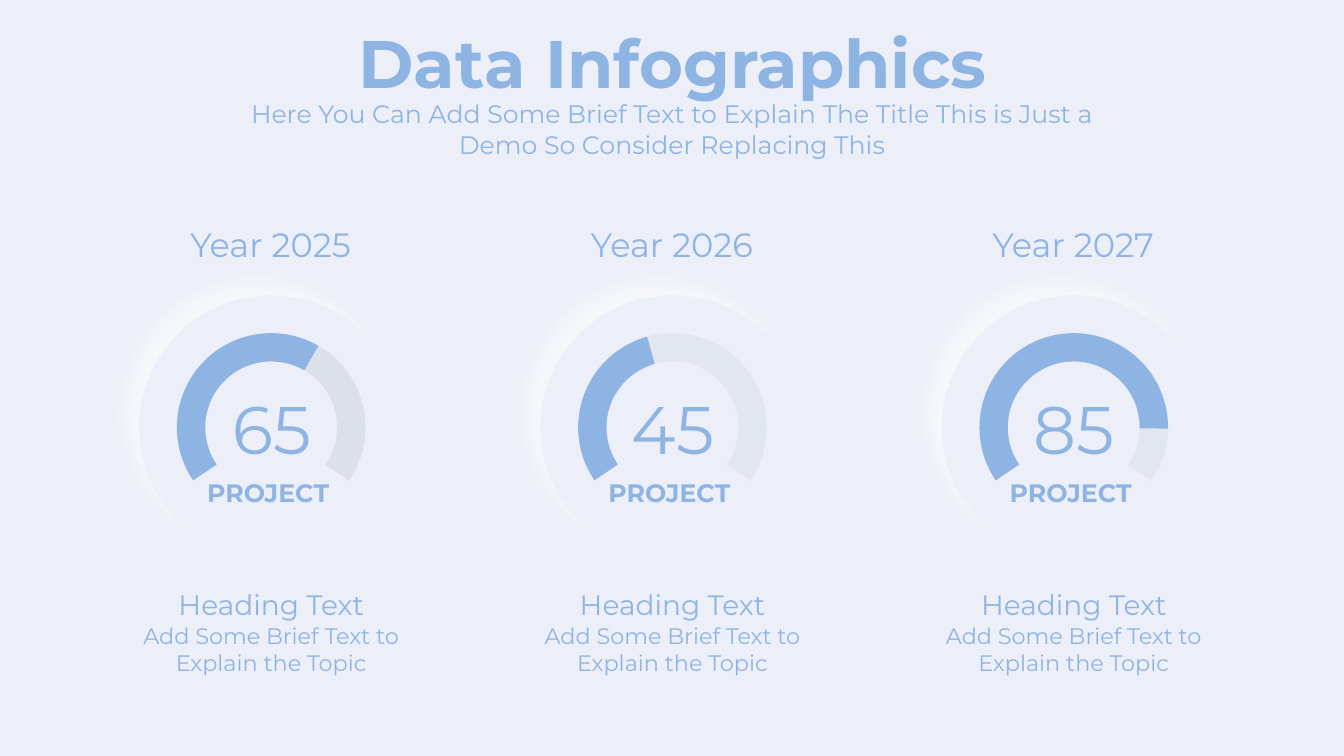
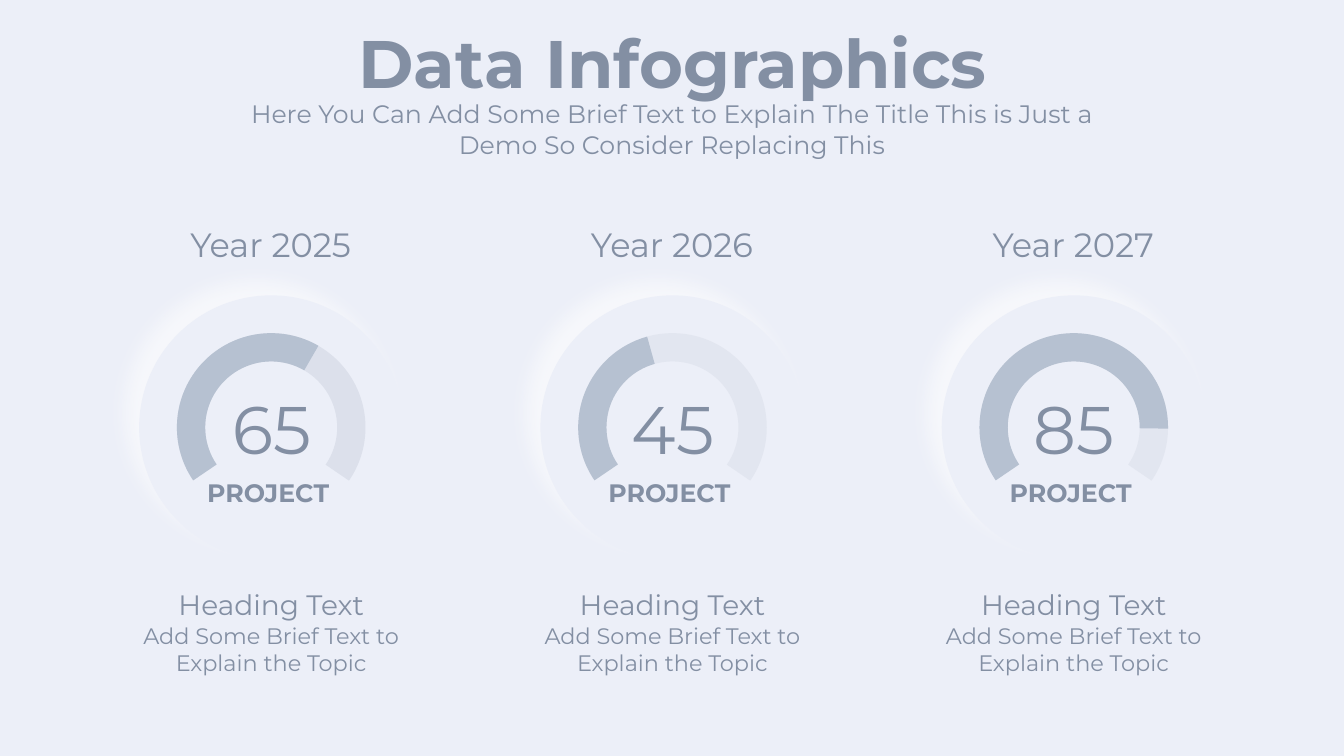
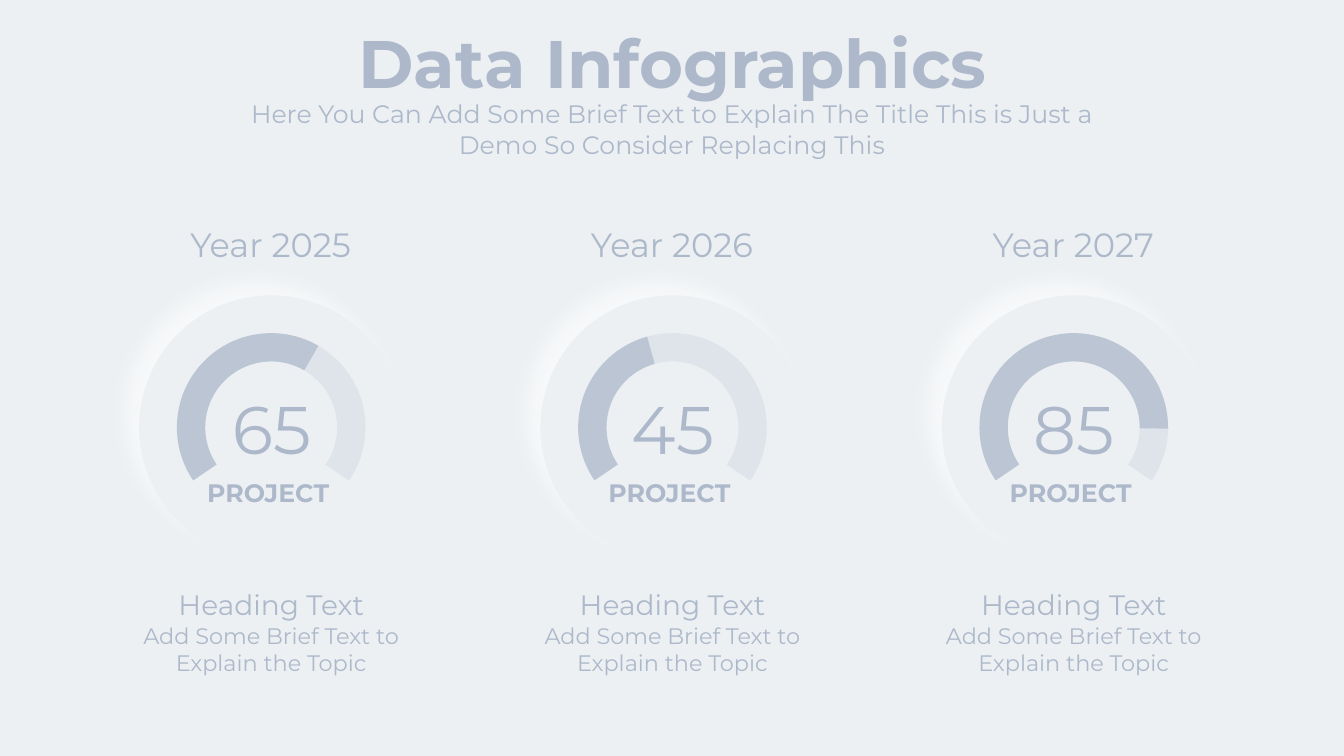
from dataclasses import dataclass

from lxml.etree import SubElement
from pptx import Presentation
from pptx.dml.color import RGBColor
from pptx.enum.shapes import MSO_SHAPE
from pptx.enum.text import MSO_AUTO_SIZE, PP_ALIGN
from pptx.oxml.ns import qn
from pptx.util import Inches, Pt

FONT = "Montserrat"
TITLE = "Data Infographics"
SUBTITLE = ("Here You Can Add Some Brief Text to Explain The Title "
            "This is Just a Demo So Consider Replacing This")
HEADING = "Heading Text"
DETAIL = "Add Some Brief Text to Explain the Topic"

# Year, value, end of the value arc, arc thickness
PROJECTS = [
    ("Year 2025", "65", 18.02, 0.15),
    ("Year 2026", "45", 206.64, 0.15),
    ("Year 2027", "85", 54.45, 0.15),
]
ARC_START, TRACK_END = 141.49, 74.64

# Columns
COLUMN_LEFT, COLUMN_TOP = 1.16, 2.17
COLUMN_WIDTH, COLUMN_PITCH = 3.06, 3.98
DIAL_SIZE, ARC_SIZE = 2.62, 1.87


@dataclass
class Theme:
    background: str
    text: str
    arc: str
    track: str
    arc_alpha: int = 100
    track_alphas: tuple = (100, 60, 60)


THEMES = [
    Theme("ECEFF8", "8EB4E3", "8EB4E3", "DCE0EB"),
    Theme("ECEFF8", "838FA3", "B6C1D1", "DCE0EB"),
    Theme("ECF0F3", "ADB9CA", "ADB9CA", "D6DCE5", 70, (60, 60, 60)),
]


def paint(fill, color, alpha=100):
    fill.solid()
    fill.fore_color.rgb = RGBColor.from_string(color)
    if alpha < 100:
        srgb = fill._xPr.find(".//" + qn("a:srgbClr"))
        SubElement(srgb, qn("a:alpha"), val=str(alpha * 1000))


def add_text(shapes, text, left, top, width, height, size, color, bold=False):
    box = shapes.add_textbox(Inches(left), Inches(top), Inches(width), Inches(height))
    frame = box.text_frame
    frame.word_wrap = True
    frame.auto_size = MSO_AUTO_SIZE.SHAPE_TO_FIT_TEXT
    frame.text = text
    paragraph = frame.paragraphs[0]
    paragraph.alignment = PP_ALIGN.CENTER
    font = paragraph.runs[0].font
    font.name, font.size, font.bold = FONT, Pt(size), bold
    font.color.rgb = RGBColor.from_string(color)


def add_round(shapes, kind, left, top, size, color, alpha=100):
    shape = shapes.add_shape(kind, Inches(left), Inches(top), Inches(size), Inches(size))
    shape.shadow.inherit = False
    paint(shape.fill, color, alpha)
    shape.line.fill.background()
    return shape


def add_glow(shape):
    """White light falling from the upper left."""
    effects = shape._element.spPr.find(qn("a:effectLst"))
    glow = SubElement(effects, qn("a:outerShdw"), blurRad=str(Pt(15)),
                      dist=str(Pt(15)), dir=str(225 * 60000),
                      algn="br", rotWithShape="0")
    white = SubElement(glow, qn("a:srgbClr"), val="FFFFFF")
    SubElement(white, qn("a:alpha"), val="60000")


def add_arc(shapes, left, top, end, thickness, color, alpha):
    arc = add_round(shapes, MSO_SHAPE.BLOCK_ARC, left, top, ARC_SIZE, color, alpha)
    arc.rotation = 270
    for index, setting in enumerate((ARC_START, end, thickness)):
        arc.adjustments[index] = setting


def add_gauge(slide, left, top, value, arc_end, thickness, theme, track_alpha):
    shapes = slide.shapes.add_group_shape().shapes
    add_glow(add_round(shapes, MSO_SHAPE.OVAL, left, top, DIAL_SIZE, theme.background))
    add_text(shapes, value, left + 0.77, top + 0.86, 1.09, 0.91, 48, theme.text)
    inset = (DIAL_SIZE - ARC_SIZE) / 2
    arc_left, arc_top = left + inset, top + inset
    add_arc(shapes, arc_left, arc_top, TRACK_END, 0.15, theme.track, track_alpha)
    add_arc(shapes, arc_left, arc_top, arc_end, thickness, theme.arc, theme.arc_alpha)
    add_text(shapes, "PROJECT ", left + 0.15, top + 1.76, 2.33, 0.4, 18,
             theme.text, bold=True)


def add_column(slide, left, top, project, theme, track_alpha):
    year, value, arc_end, thickness = project
    dial_left = left + (COLUMN_WIDTH - DIAL_SIZE) / 2
    add_text(slide.shapes, year, left + 0.36, top, 2.33, 0.5, 24, theme.text)
    add_gauge(slide, dial_left, top + 0.76, value, arc_end, thickness, theme, track_alpha)
    add_text(slide.shapes, HEADING, dial_left, top + 3.61, DIAL_SIZE, 0.44, 20, theme.text)
    add_text(slide.shapes, DETAIL, left, top + 3.95, COLUMN_WIDTH, 0.64, 16, theme.text)


def add_header(slide, theme):
    add_text(slide.shapes, TITLE, 2.78, 0.16, 7.78, 0.91, 48, theme.text, bold=True)
    add_text(slide.shapes, SUBTITLE, 2.3, 0.93, 8.73, 0.71, 18, theme.text)


def add_gauge_slide(deck, theme):
    slide = deck.slides.add_slide(deck.slide_layouts[6])
    paint(slide.background.fill, theme.background)
    for index, project in enumerate(PROJECTS):
        add_column(slide, COLUMN_LEFT + index * COLUMN_PITCH, COLUMN_TOP,
                   project, theme, theme.track_alphas[index])
    add_header(slide, theme)


def main():
    deck = Presentation()
    deck.slide_width, deck.slide_height = Inches(13.33), Inches(7.5)
    for theme in THEMES:
        add_gauge_slide(deck, theme)
    deck.save("out.pptx")


if __name__ == "__main__":
    main()
